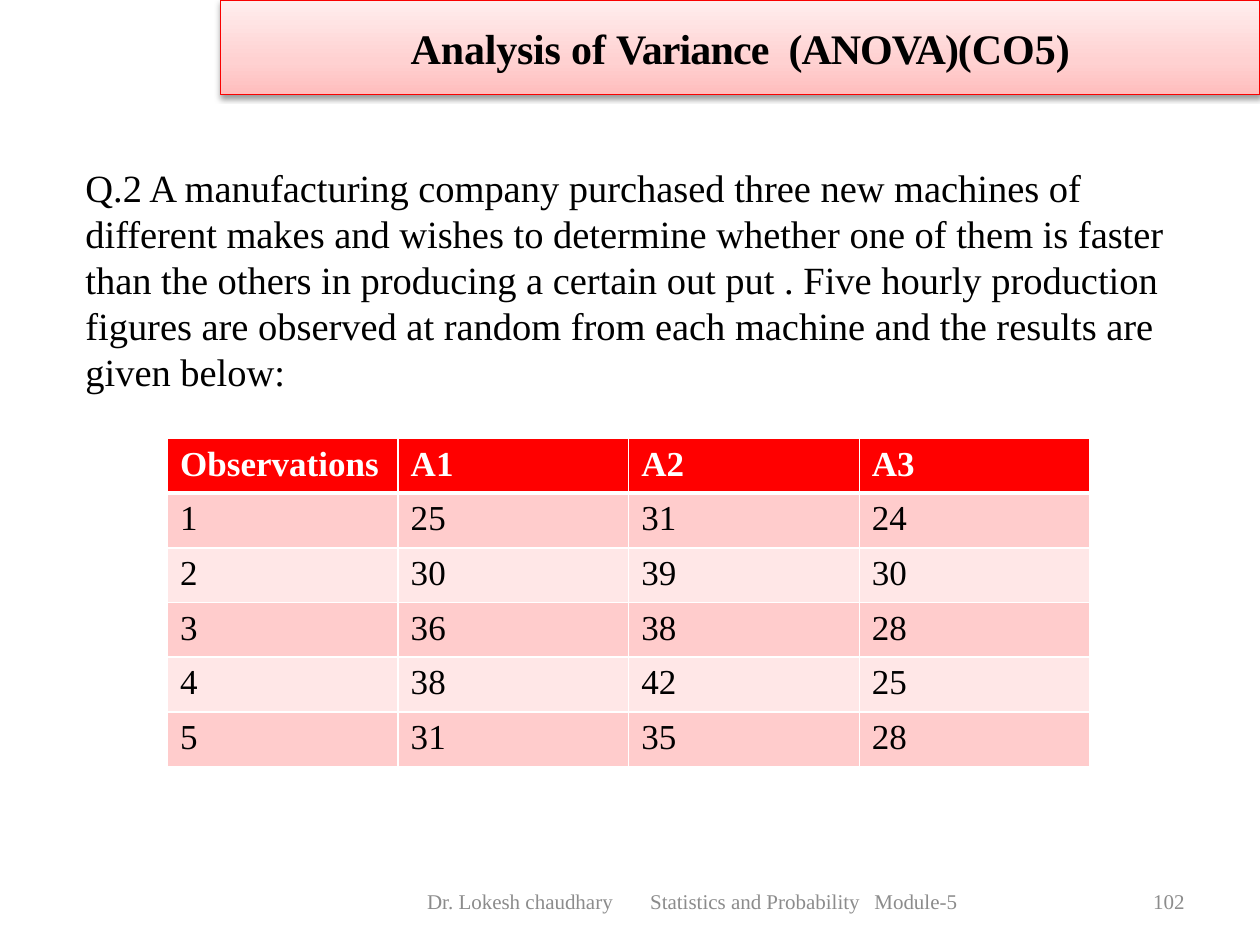
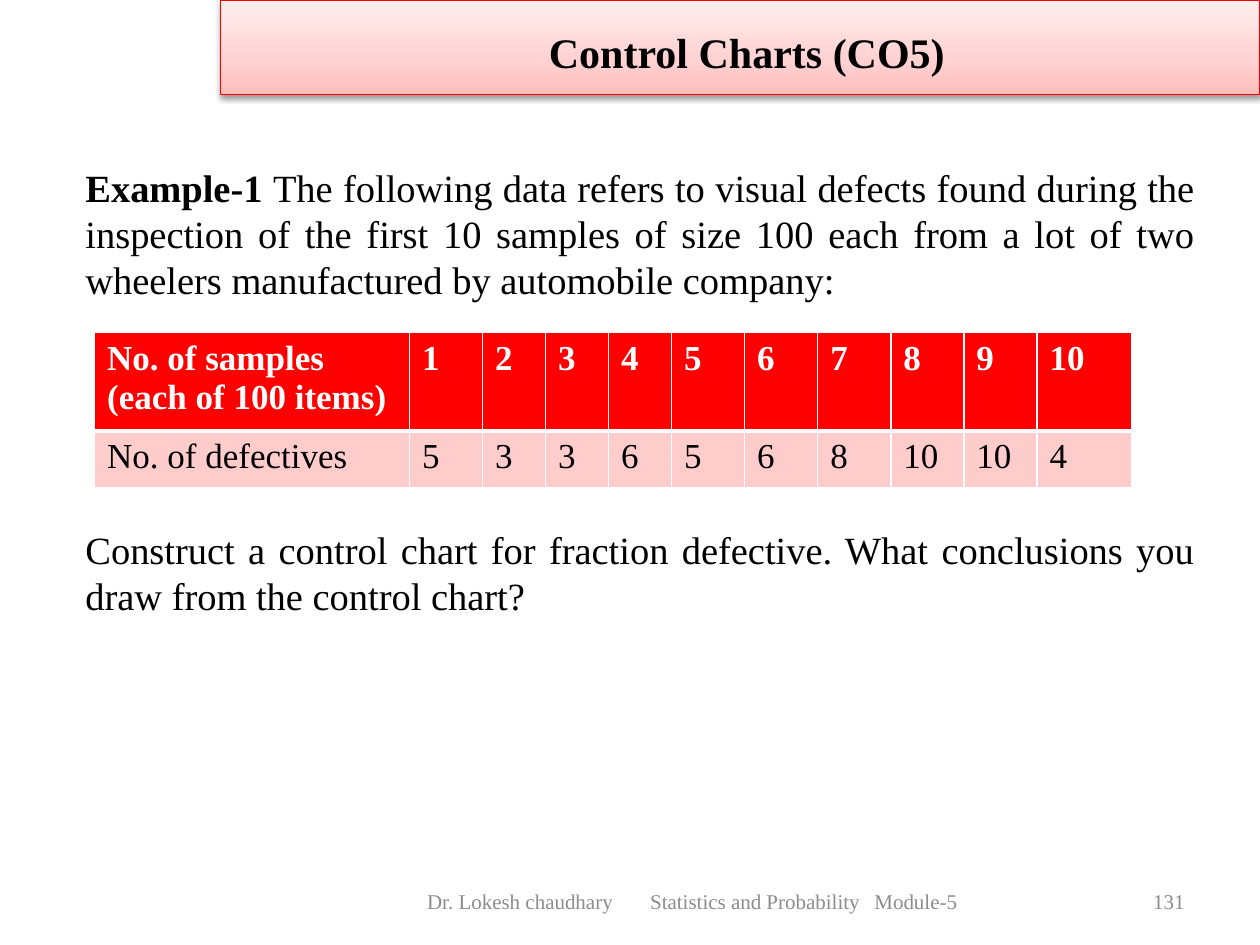
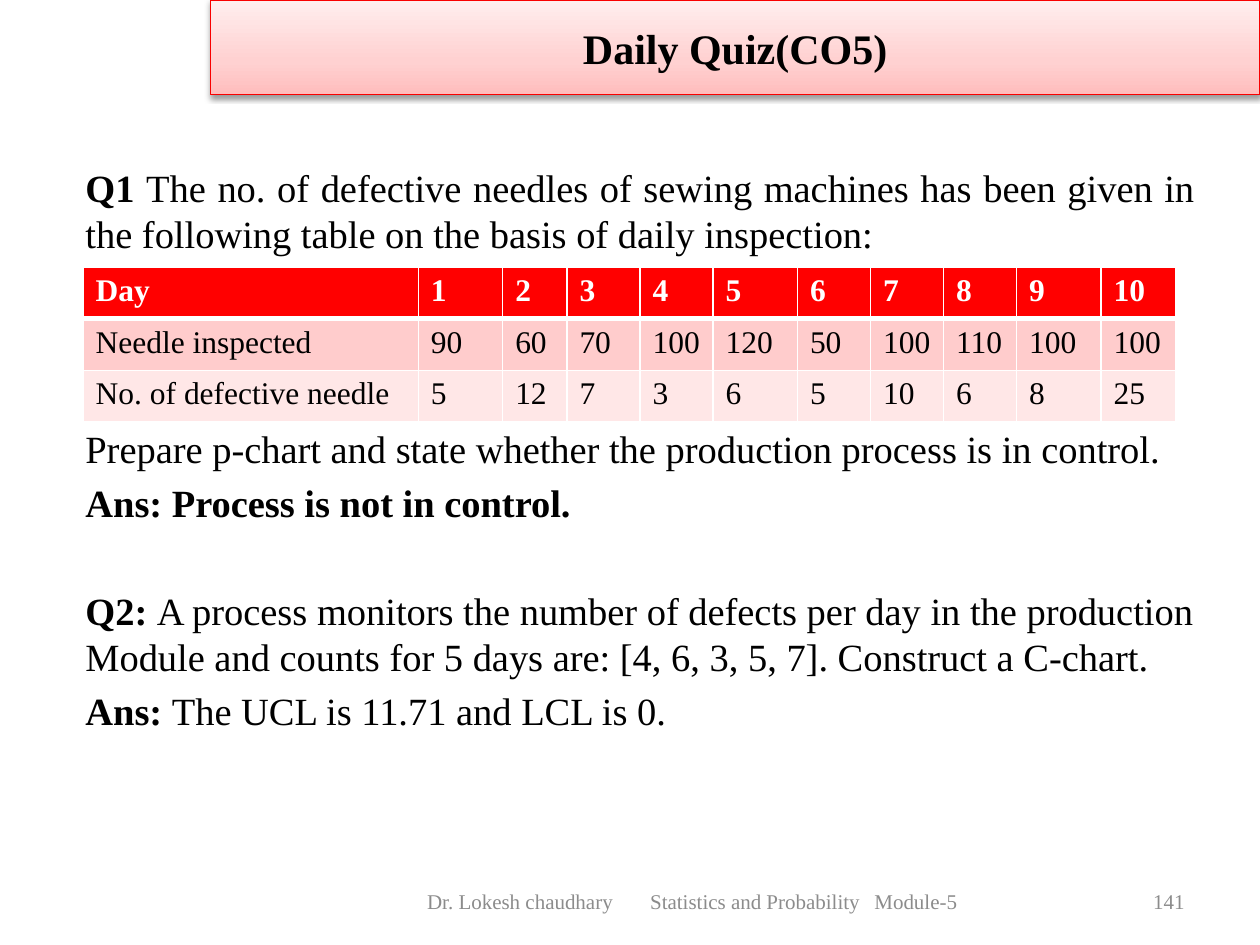
import copy

import pptx
import pptx.dml.color
import pptx.enum.shapes
import pptx.enum.text
import pptx.oxml.ns
import pptx.util
from lxml import etree
from pptx.util import Inches, Pt

FONT = "Times New Roman"
BLACK, WHITE, GREY = "000000", "FFFFFF", "8C8C8C"
BAND_LINE, HEADER_FILL = "F90000", "FF0000"
ROW_FILLS = ("FFCCCC", "FFE7E7")
BAND_STOPS = ((0, "FFBDBD"), (0.35, "FFD1D1"), (1, "FFEEEE"))

BODY_SIZE, BODY_LINE, BODY_GAP = 22, 26.4, 4.4
FOOTER_PARTS = ("Dr. Lokesh chaudhary", "Statistics and Probability", "Module-5")
FOOTER_TABS = (1.77, 3.55)

ALIGN = pptx.enum.text.PP_ALIGN
ANCHOR = pptx.enum.text.MSO_ANCHOR
qn = pptx.oxml.ns.qn


def rgb(value):
    return pptx.dml.color.RGBColor.from_string(value)


def set_all(target, values):
    for name, value in values.items():
        setattr(target, name, value)


def add_run(paragraph, text, size, color=BLACK, bold=False, spacing=0):
    """Add a run; spacing is the extra space between letters in points."""
    run = paragraph.add_run()
    run.text = text
    set_all(run.font, {"name": FONT, "size": Pt(size), "bold": bold})
    run.font.color.rgb = rgb(color)
    if spacing:
        run.font._element.set("spc", str(round(spacing * 100)))


def add_textbox(slide, left, top, width, height, **frame_format):
    frame = slide.shapes.add_textbox(
        Inches(left), Inches(top), Inches(width), Inches(height)).text_frame
    set_all(frame, {"word_wrap": True, **frame_format})
    return frame


def add_shadow(shape):
    shape.shadow.inherit = False
    effects = shape._element.spPr.find(qn("a:effectLst"))
    outer = etree.SubElement(effects, qn("a:outerShdw"), blurRad=str(Pt(3.1)),
                             dist=str(Pt(1.6)), dir="5400000", rotWithShape="0")
    color = etree.SubElement(outer, qn("a:srgbClr"), val=BLACK)
    etree.SubElement(color, qn("a:alpha"), val="38000")


def add_title_band(slide, runs, left=1.75):
    """Band from left to the slide's right edge; runs are (text, format)."""
    band = slide.shapes.add_shape(pptx.enum.shapes.MSO_SHAPE.RECTANGLE,
                                  Inches(left), 0, Inches(10 - left), Inches(0.75))
    band.fill.gradient()
    band.fill.gradient_angle = 90
    stop_list = next(band._element.spPr.iter(qn("a:gsLst")))
    stop_list.append(copy.deepcopy(stop_list[0]))
    for stop, (position, color) in zip(band.fill.gradient_stops, BAND_STOPS):
        stop.position = position
        stop.color.rgb = rgb(color)
    band.line.color.rgb = rgb(BAND_LINE)
    band.line.width = Pt(0.75)
    add_shadow(band)
    band.text_frame.vertical_anchor = ANCHOR.MIDDLE
    paragraph = band.text_frame.paragraphs[0]
    paragraph.alignment = ALIGN.CENTER
    for text, style in runs:
        add_run(paragraph, text, **{"size": 24, "bold": True, **style})


def add_footer(slide, number):
    frame = add_textbox(slide, 2.75, 6.95, 5.5, 0.4, margin_left=Inches(0.64),
                        vertical_anchor=ANCHOR.MIDDLE)
    paragraph = frame.paragraphs[0]
    tabs = etree.SubElement(paragraph._p.get_or_add_pPr(), qn("a:tabLst"))
    for position in FOOTER_TABS:
        etree.SubElement(tabs, qn("a:tab"), pos=str(Inches(position)), algn="l")
    add_run(paragraph, "\t".join(FOOTER_PARTS), 12, GREY)

    frame = add_textbox(slide, 7.17, 6.95, 2.33, 0.4, vertical_anchor=ANCHOR.MIDDLE)
    frame.paragraphs[0].alignment = ALIGN.RIGHT
    add_run(frame.paragraphs[0], str(number), 12, GREY)


def add_body(slide, paragraphs, height=4.95):
    """Each paragraph is (alignment, lines left free above, bold lead, text)."""
    frame = add_textbox(slide, 0.58, 1.25, 9, height)
    for index, (alignment, free_lines, lead, text) in enumerate(paragraphs):
        paragraph = frame.paragraphs[0] if index == 0 else frame.add_paragraph()
        gap = BODY_GAP + free_lines * (BODY_LINE + BODY_GAP) if index else 0
        set_all(paragraph, {"alignment": alignment, "line_spacing": Pt(BODY_LINE),
                            "space_before": Pt(gap)})
        if lead:
            add_run(paragraph, lead, BODY_SIZE, bold=True)
        if text:
            add_run(paragraph, text, BODY_SIZE)


def add_cell_borders(cell, bottom_width):
    properties = cell._tc.get_or_add_tcPr()
    for side, width in (("L", 1), ("R", 1), ("T", 1), ("B", bottom_width)):
        line = etree.SubElement(properties, qn(f"a:ln{side}"), w=str(Pt(width)))
        fill = etree.SubElement(line, qn("a:solidFill"))
        etree.SubElement(fill, qn("a:srgbClr"), val=WHITE)


def add_data_table(slide, left, top, widths, heights, rows, size):
    table = slide.shapes.add_table(
        len(rows), len(widths), Inches(left), Inches(top),
        Inches(sum(widths)), Inches(sum(heights))).table
    for column, width in zip(table.columns, widths):
        column.width = Inches(width)
    for r, (values, height) in enumerate(zip(rows, heights)):
        table.rows[r].height = Inches(height)
        header = r == 0
        for c, value in enumerate(values):
            cell = table.cell(r, c)
            add_cell_borders(cell, 3 if header else 1)
            cell.fill.solid()
            cell.fill.fore_color.rgb = rgb(HEADER_FILL if header else ROW_FILLS[(r - 1) % 2])
            frame = cell.text_frame
            for i, line in enumerate(str(value).split("\n")):
                paragraph = frame.add_paragraph() if i else frame.paragraphs[0]
                add_run(paragraph, line, size, WHITE if header else BLACK, header)


def build_anova(slide):
    add_body(slide, [
        (ALIGN.LEFT, 0, "",
         "Q.2 A manufacturing company purchased three new machines of different makes "
         "and wishes to determine whether one of them is faster than the others in "
         "producing a certain out put . Five hourly production figures are observed at "
         "random from each machine and the results are given below:")])
    add_footer(slide, 102)
    add_title_band(slide, [("Analysis of ", {"spacing": -0.1}),
                           ("Variance", {"spacing": -0.5}), (" ", {"spacing": 5}),
                           ("(ANOVA)(", {"spacing": -0.6}), ("CO5)", {})])
    add_data_table(slide, 1.33, 3.48, [1.83] * 4, [0.41] * 6, [
        ("Observations", "A1", "A2", "A3"),
        (1, 25, 31, 24),
        (2, 30, 39, 30),
        (3, 36, 38, 28),
        (4, 38, 42, 25),
        (5, 31, 35, 28)], 20)


def build_control_charts(slide):
    add_body(slide, [
        (ALIGN.JUSTIFY, 0, "Example-1 ",
         "The following data refers to visual defects found during the inspection of the "
         "first 10 samples of size 100 each from a lot of two wheelers manufactured by "
         "automobile company:"),
        (ALIGN.JUSTIFY, 4, "",
         "Construct a control chart for fraction defective. What conclusions you draw "
         "from the control chart?")])
    add_footer(slide, 131)
    add_title_band(slide, [(" ", {"size": 30}), ("Control Charts (CO5)", {})])
    widths = [2.5, 0.58] + [0.5] * 3 + [0.58] * 5 + [0.75]
    add_data_table(slide, 0.75, 2.64, widths, [0.78, 0.45], [
        ("No. of samples\n(each of 100 items)", *range(1, 11)),
        ("No. of defectives", 5, 3, 3, 6, 5, 6, 8, 10, 10, 4)], 20)


def build_quiz(slide):
    add_body(slide, [
        (ALIGN.JUSTIFY, 0, "Q1 ",
         "The no. of defective needles of sewing machines has been given in the following "
         "table on the basis of daily inspection:"),
        (ALIGN.JUSTIFY, 3, "",
         "Prepare p-chart and state whether the production process is in control."),
        (ALIGN.JUSTIFY, 0, "Ans: Process is not in control.", ""),
        (ALIGN.LEFT, 1, "Q2: ",
         "A process monitors the number of defects per day in the production Module and "
         "counts for 5 days are: [4, 6, 3, 5, 7]. Construct a C-chart."),
        (ALIGN.LEFT, 0, "Ans: ", "The UCL is 11.71 and LCL is 0.")], height=5.17)
    add_footer(slide, 141)
    add_title_band(slide, [("Daily Quiz(CO5)", {})], left=1.67)
    widths = [2.66, 0.67, 0.51, 0.58, 0.58, 0.67, 0.58, 0.58, 0.58, 0.67, 0.59]
    add_data_table(slide, 0.66, 2.12, widths, [0.41] * 3, [
        ("Day", *range(1, 11)),
        ("Needle inspected", 90, 60, 70, 100, 120, 50, 100, 110, 100, 100),
        ("No. of defective needle", 5, 12, 7, 3, 6, 5, 10, 6, 8, 25)], 18)


def main():
    deck = pptx.Presentation()
    deck.slide_width, deck.slide_height = Inches(10), Inches(7.5)
    for build in (build_anova, build_control_charts, build_quiz):
        build(deck.slides.add_slide(deck.slide_layouts[6]))
    deck.save("out.pptx")


if __name__ == "__main__":
    main()
